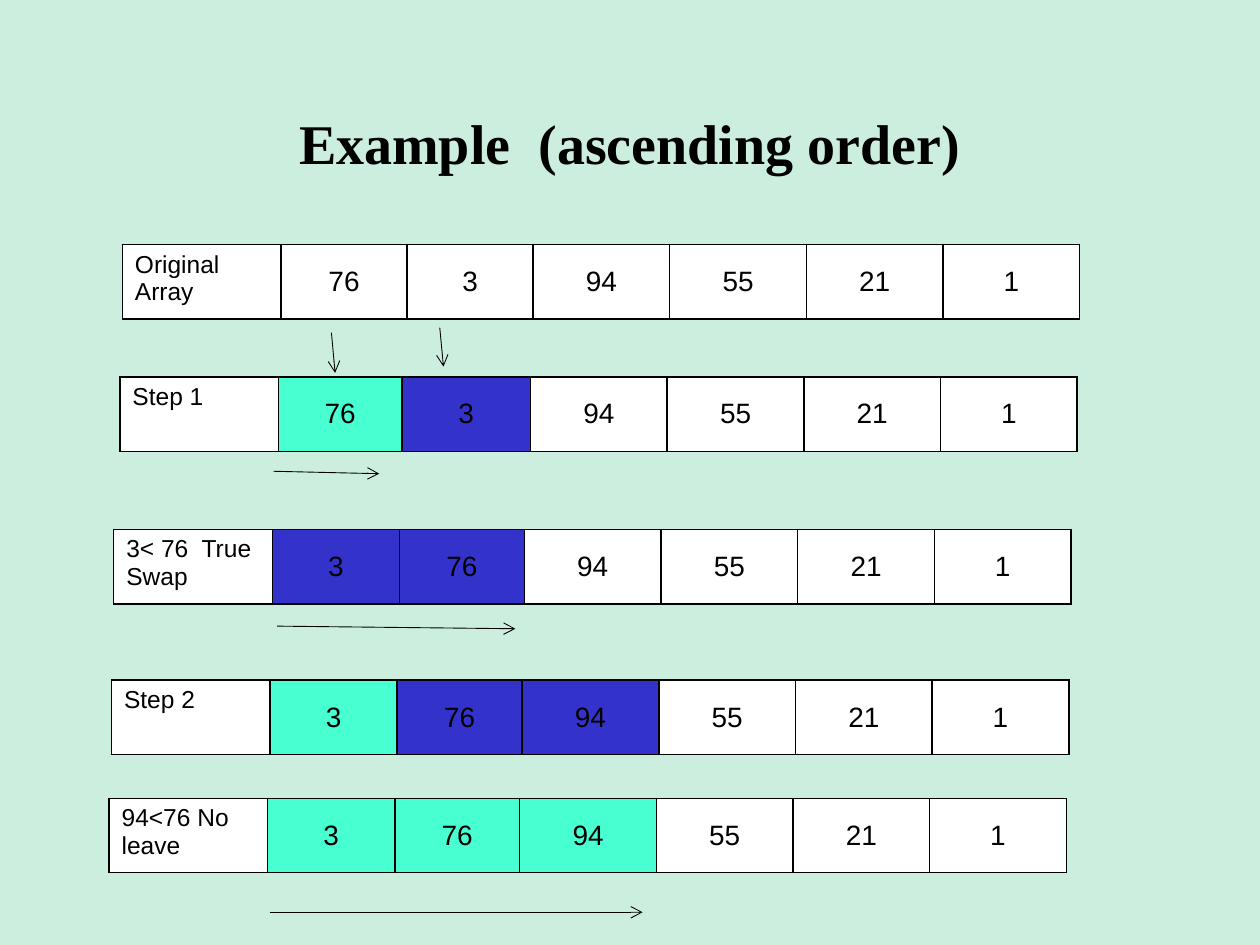
import pptx
import pptx.dml.color
import pptx.enum.shapes
import pptx.enum.text
import pptx.oxml
import pptx.oxml.ns
import pptx.util
from dataclasses import dataclass

Pt = pptx.util.Pt
ANCHOR = pptx.enum.text.MSO_ANCHOR
ALIGN = pptx.enum.text.PP_ALIGN


@dataclass(frozen=True)
class Theme:
    background: str = "CCEEDF"
    ink: str = "000000"
    plain: str = "FFFFFF"
    sorted: str = "47FFD1"
    compared: str = "3333CC"
    title_font: str = "Times New Roman"
    body_font: str = "Arial"
    title_size: float = 32
    label_size: float = 14
    value_size: float = 16
    border: float = 1
    arrow: float = 0.5


THEME = Theme()

# Content: label, values, fills of the leading cells, left, top, first value width
TITLE = "Example  (ascending order)"
S, C = THEME.sorted, THEME.compared
ARRAYS = [
    ("Original Array", (76, 3, 94, 55, 21, 1), (), 69.9, 139.7, 72),
    ("Step 1", (76, 3, 94, 55, 21, 1), (S, C), 68.5, 215.4, 70.4),
    ("3< 76  True\nSwap", (3, 76, 94, 55, 21, 1), (C, C), 65, 302.5, 72.6),
    ("Step 2", (3, 76, 94, 55, 21, 1), (S, C, C), 63.7, 388.7, 72.6),
    ("94<76 No\nleave", (3, 76, 94, 55, 21, 1), (S, S, S), 62.3, 456.2, 72.6),
]
# Arrows: start x, start y, end x, end y
ARROWS = [
    (189.4, 190.1, 191.5, 213.1),
    (251.3, 187.2, 253.4, 209.5),
    (156.2, 269.3, 216.7, 270.7),
    (158.4, 357.8, 294.5, 359.3),
    (154.1, 521.3, 367.2, 521.3),
]
LABEL_WIDTH, PAIR_WIDTH, VALUE_WIDTH, ROW_HEIGHT = 90.7, 144, 78.1, 42.5


def colour(value):
    return pptx.dml.color.RGBColor.from_string(value)


def format_text(text_frame, font, size, align, bold=False):
    for paragraph in text_frame.paragraphs:
        paragraph.alignment = align
        for run in paragraph.runs:
            run.font.name = font
            run.font.size = Pt(size)
            run.font.bold = bold
            run.font.color.rgb = colour(THEME.ink)


def add_borders(cell):
    properties = cell._tc.get_or_add_tcPr()
    for side in "LRTB":
        properties.append(pptx.oxml.parse_xml(
            f'<a:ln{side} {pptx.oxml.ns.nsdecls("a")} w="{Pt(THEME.border)}">'
            f'<a:solidFill><a:srgbClr val="{THEME.ink}"/></a:solidFill></a:ln{side}>'))


def add_array(slide, label, values, fills, left, top, first_width):
    widths = [LABEL_WIDTH, first_width, PAIR_WIDTH - first_width]
    widths += [VALUE_WIDTH] * (len(values) - 2)
    table = slide.shapes.add_table(1, len(widths), Pt(left), Pt(top),
                                   Pt(sum(widths)), Pt(ROW_HEIGHT)).table
    table.first_row = table.horz_banding = False
    for column, width in zip(table.columns, widths):
        column.width = Pt(width)

    cell_fills = [THEME.plain, *fills]
    cell_fills += [THEME.plain] * (len(widths) - len(cell_fills))
    for index, (text, fill) in enumerate(zip((label, *values), cell_fills)):
        cell = table.cell(0, index)
        cell.text_frame.text = str(text)
        is_label = index == 0
        cell.vertical_anchor = ANCHOR.TOP if is_label else ANCHOR.MIDDLE
        format_text(cell.text_frame, THEME.body_font,
                    THEME.label_size if is_label else THEME.value_size,
                    ALIGN.LEFT if is_label else ALIGN.CENTER)
        add_borders(cell)
        cell.fill.solid()
        cell.fill.fore_color.rgb = colour(fill)


def add_arrow(slide, *ends):
    connector = slide.shapes.add_connector(
        pptx.enum.shapes.MSO_CONNECTOR.STRAIGHT, *map(Pt, ends))
    connector.line.color.rgb = colour(THEME.ink)
    connector.line.width = Pt(THEME.arrow)
    namespace = pptx.oxml.ns.nsdecls("a")
    connector.line._get_or_add_ln().append(
        pptx.oxml.parse_xml(f'<a:tailEnd {namespace} type="arrow"/>'))
    connector._element.spPr.append(pptx.oxml.parse_xml(f"<a:effectLst {namespace}/>"))


def main():
    presentation = pptx.Presentation()
    presentation.slide_width, presentation.slide_height = Pt(720), Pt(540)
    slide = presentation.slides.add_slide(presentation.slide_layouts[5])
    slide.background.fill.solid()
    slide.background.fill.fore_color.rgb = colour(THEME.background)

    # Title
    title = slide.shapes.title
    title.left, title.top, title.width, title.height = map(Pt, (49.7, 28.8, 620.6, 104.4))
    title.text_frame.text = TITLE
    title.text_frame.vertical_anchor = ANCHOR.MIDDLE
    format_text(title.text_frame, THEME.title_font, THEME.title_size, ALIGN.CENTER, bold=True)

    # Array states and the arrows between them
    for array in ARRAYS:
        add_array(slide, *array)
    for arrow in ARROWS:
        add_arrow(slide, *arrow)

    presentation.save("out.pptx")


if __name__ == "__main__":
    main()
